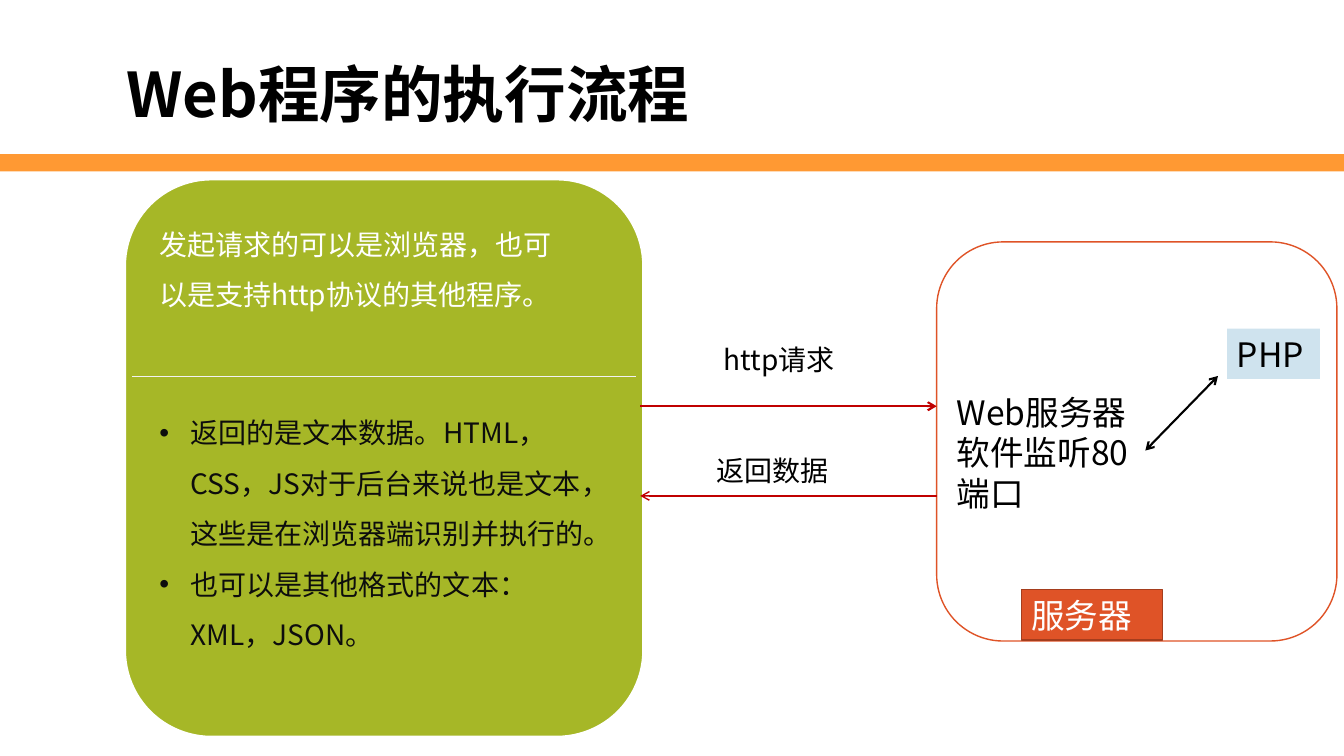
from pptx import Presentation
from pptx.dml.color import RGBColor
from pptx.enum import shapes, text
from pptx.oxml.ns import qn
from pptx.util import Inches, Pt
from lxml import etree

FONT = "Noto Sans CJK SC"
HUES = {
    "black": "000000", "white": "FFFFFF", "band": "FF9933",
    "rust": "DF5327", "edge": "A53D1D", "sky": "CFE3EE",
    "red": "C00000", "green": "A6B727", "pale": "F2F2F2", "ink": "0D0D0D",
}
TITLE = "Web程序的执行流程"
NOTES = [
    "返回的是文本数据。HTML，CSS，JS对于后台来说也是文本，这些是在浏览器端识别并执行的。",
    "也可以是其他格式的文本：XML，JSON。",
]
PANELS = [
    ("RECTANGLE", (0, 1.53, 13.33, 0.17), "band", None, 0),
    ("ROUNDED_RECTANGLE", (9.29, 2.4, 3.97, 3.96), "white", "rust", 1),
    ("ROUNDED_RECTANGLE", (1.24, 1.78, 5.14, 5.53), "green", "white", 1.5),
    ("RECTANGLE", (10.13, 5.85, 1.4, 0.5), "rust", "edge", 1),
    ("RECTANGLE", (12.17, 3.26, 0.92, 0.5), "sky", None, 0),
]
LABELS = [
    ("服务器", (10.13, 5.85, 1.4, 0.5), 24, "white", 1),
    ("Web服务器软件监听80端口", (9.39, 3.84, 2.04, 1.31), 24, "black", 1),
    ("PHP", (12.17, 3.26, 0.92, 0.5), 24, "black", 1),
    ("http请求", (7.08, 3.35, 1.58, 0.44), 20, "black", 1),
    ("返回数据", (7.01, 4.45, 1.56, 0.44), 20, "black", 1),
    ("发起请求的可以是浏览器，也可以是支持http协议的其他程序。",
     (1.48, 2.04, 4.2, 1.05), 20, "white", 1.5),
]
LINES = [
    ((12.08, 3.73), (11.36, 4.47), "black", 1.5, ("headEnd", "tailEnd")),
    ((6.35, 4.03), (9.29, 4.03), "red", 1.5, ("tailEnd",)),
    ((9.29, 4.92), (6.35, 4.92), "red", 1, ("tailEnd",)),
    ((1.31, 3.73), (6.31, 3.73), "pale", 0.5, ()),
]


def tone(name):
    return RGBColor.from_string(HUES[name])


def place(shape, box):
    shape.left, shape.top, shape.width, shape.height = map(Inches, box)


def write(shape, words, size, hue, gap=1, bold=False, dots=False):
    frame = shape.text_frame
    frame.text = "\n".join(words)
    frame.word_wrap = True
    frame.auto_size = text.MSO_AUTO_SIZE.NONE
    frame.vertical_anchor = text.MSO_ANCHOR.TOP
    for para in frame.paragraphs:
        para.alignment = text.PP_ALIGN.LEFT
        para.line_spacing = gap
        para.space_before = Pt(0)
        if dots:
            props = para._p.get_or_add_pPr()
            props.set("marL", str(Inches(0.31)))
            props.set("indent", str(-Inches(0.31)))
            etree.SubElement(props, qn("a:buFont")).set("typeface", "Arial")
            etree.SubElement(props, qn("a:buChar")).set("char", "•")
        font = para.font
        font.size, font.bold, font.name = Pt(size), bold, FONT
        font.color.rgb = tone(hue)
        rule = para._p.pPr.find(qn("a:defRPr"))
        etree.SubElement(rule, qn("a:ea")).set("typeface", FONT)


def panel(slide, kind, box, fill, edge, width):
    shape = slide.shapes.add_shape(
        getattr(shapes.MSO_SHAPE, kind), *map(Inches, box))
    shape.shadow.inherit = False
    shape.fill.solid()
    shape.fill.fore_color.rgb = tone(fill)
    if edge:
        shape.line.color.rgb = tone(edge)
        shape.line.width = Pt(width)
    else:
        shape.line.fill.background()


def link(slide, start, end, hue, width, tips):
    line = slide.shapes.add_connector(
        shapes.MSO_CONNECTOR.STRAIGHT, *map(Inches, start + end))
    line.line.color.rgb = tone(hue)
    line.line.width = Pt(width)
    for tip in tips:
        etree.SubElement(line.line._get_or_add_ln(), qn("a:" + tip)).set("type", "arrow")
    etree.SubElement(line._element.spPr, qn("a:effectLst"))


def main():
    deck = Presentation()
    deck.slide_width, deck.slide_height = Inches(13.33), Inches(7.5)
    slide = deck.slides.add_slide(deck.slide_layouts[1])
    title, body = slide.placeholders
    place(title, (1.15, 0.59, 6.86, 0.75))
    write(title, [TITLE], 44, "black", 0.9, bold=True)
    title.text_frame.vertical_anchor = text.MSO_ANCHOR.MIDDLE
    for item in PANELS:
        panel(slide, *item)
    for item in LINES:
        link(slide, *item)
    for words, box, size, hue, gap in LABELS:
        label = slide.shapes.add_textbox(*map(Inches, box))
        write(label, [words], size, hue, gap)
    place(body, (1.48, 3.91, 4.49, 2.63))
    write(body, NOTES, 20, "ink", 1.5, dots=True)
    slide.shapes._spTree.append(body._element)
    deck.save("out.pptx")


if __name__ == "__main__":
    main()
